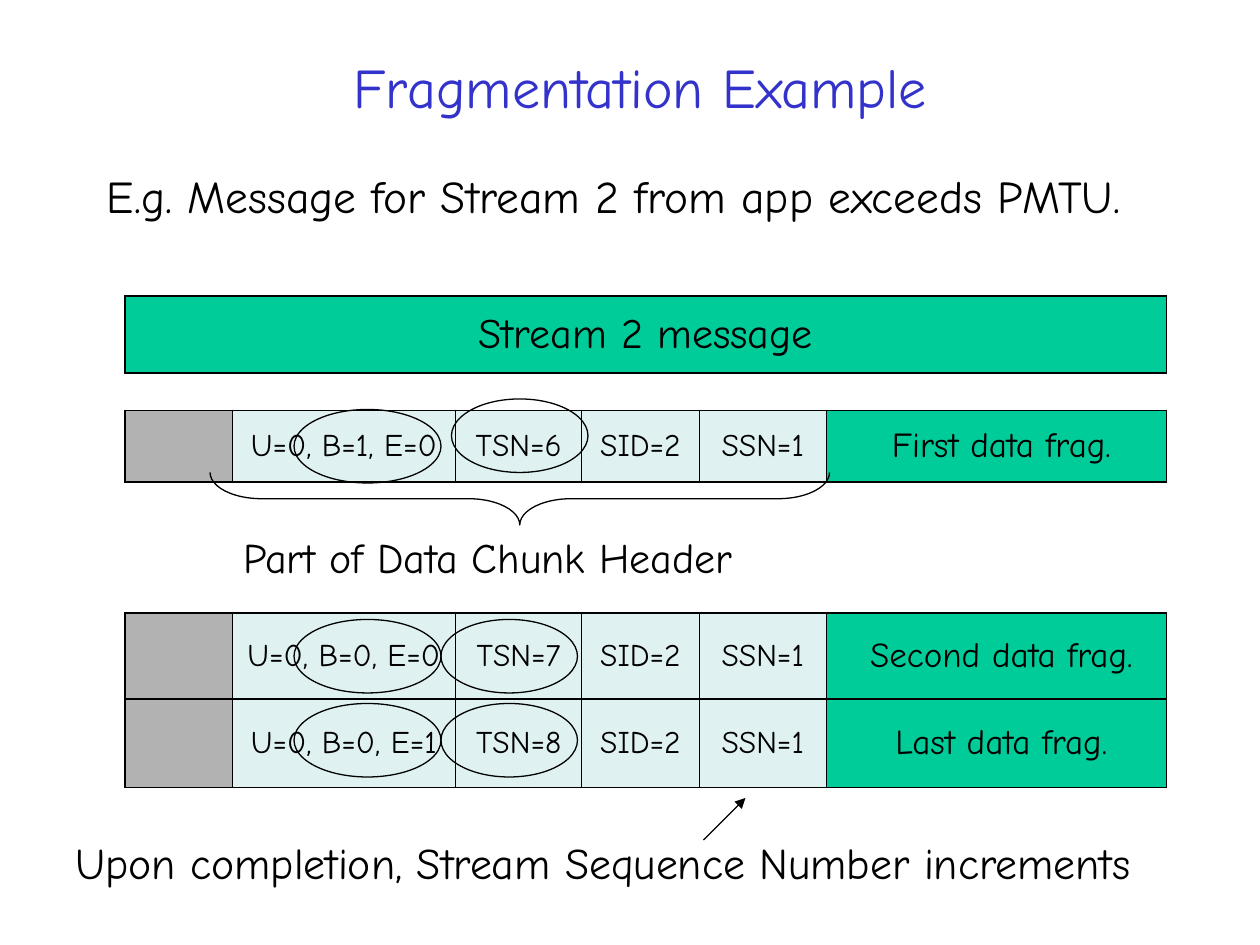
import dataclasses

import pptx
import pptx.dml.color
import pptx.enum.shapes
import pptx.enum.text
import pptx.oxml
import pptx.oxml.ns
import pptx.util

Align = pptx.enum.text.PP_ALIGN
Shape = pptx.enum.shapes.MSO_SHAPE
UNIT = pptx.util.Inches(1) / 12  # the grid has 120 columns and 90 rows


@dataclasses.dataclass
class Theme:
    font: str = "Comic Neue"
    ink: str = "000000"
    blue: str = "3333CC"
    green: str = "00CC99"
    pale: str = "E0F1F2"
    gray: str = "B2B2B2"
    title: int = 32
    lead: int = 26
    note: int = 25
    label: int = 24
    data: int = 20
    field: int = 18
    line: float = 0.75
    thick: float = 1.08
    thin: float = 0.45


def grid(*nums):
    return [round(n * UNIT) for n in nums]


def color(code):
    return pptx.dml.color.RGBColor.from_string(code)


def write(frame, text, font="Comic Neue", size=18, ink="000000", align=Align.LEFT):
    frame.word_wrap = True
    para = frame.paragraphs[0]
    para.alignment = align
    run = para.add_run()
    run.text = text
    run.font.name = font
    run.font.size = pptx.util.Pt(size)
    run.font.color.rgb = color(ink)


def border(cell, widths, ink):
    """Draw the left, right, top and bottom edges of a cell."""
    props = cell._tc.get_or_add_tcPr()
    for spot, (side, width) in enumerate(zip("LRTB", widths)):
        props.insert(spot, pptx.oxml.parse_xml(
            f'<a:ln{side} {pptx.oxml.ns.nsdecls("a")} w="{pptx.util.Pt(width)}">'
            f'<a:solidFill><a:srgbClr val="{ink}"/></a:solidFill></a:ln{side}>'))


class Page:
    def __init__(self, deck, theme):
        self.theme = theme
        self.slide = deck.slides.add_slide(deck.slide_layouts[5])
        self.shapes = self.slide.shapes

    def title(self, text, *box):
        head = self.shapes.title
        head.left, head.top, head.width, head.height = grid(*box)
        head.text_frame.vertical_anchor = pptx.enum.text.MSO_ANCHOR.MIDDLE
        write(head.text_frame, text, self.theme.font, self.theme.title,
              self.theme.blue, Align.CENTER)

    def text(self, text, size, *box):
        item = self.shapes.add_textbox(*grid(*box))
        write(item.text_frame, text, self.theme.font, size, self.theme.ink)

    def table(self, left, top, height, cols, cells):
        """Each cell is a tuple of text, size and fill."""
        look = self.theme
        spot = grid(left, top, sum(cols), height)
        table = self.shapes.add_table(1, len(cols), *spot).table
        table.first_row = table.horz_banding = False
        table.rows[0].height = spot[3]
        last = len(cols) - 1
        for num, (text, size, fill) in enumerate(cells):
            table.columns[num].width = grid(cols[num])[0]
            cell = table.cell(0, num)
            cell.vertical_anchor = pptx.enum.text.MSO_ANCHOR.MIDDLE
            cell.fill.solid()
            cell.fill.fore_color.rgb = color(fill)
            if text:
                write(cell.text_frame, text, look.font, size, look.ink, Align.CENTER)
            if size == look.data:
                cell.margin_left = pptx.util.Inches(0.18)
            border(cell, (look.thick if num == 0 else look.thin,
                          look.thick if num == last else look.thin,
                          look.thick, look.thick), look.ink)

    def outline(self, kind, *box):
        item = self.shapes.add_shape(kind, *grid(*box))
        item.shadow.inherit = False
        item.fill.background()
        self.stroke(item.line)
        return item

    def brace(self, *box):
        item = self.outline(Shape.RIGHT_BRACE, *box)
        item.rotation = 90
        item.adjustments[0] = 0.98

    def arrow(self, *ends):
        item = self.shapes.add_connector(
            pptx.enum.shapes.MSO_CONNECTOR.STRAIGHT, *grid(*ends))
        self.stroke(item.line)
        decl = pptx.oxml.ns.nsdecls("a")
        item.line._get_or_add_ln().append(
            pptx.oxml.parse_xml(f'<a:tailEnd {decl} type="triangle"/>'))
        item._element.spPr.append(pptx.oxml.parse_xml(f"<a:effectLst {decl}/>"))

    def stroke(self, line):
        line.color.rgb = color(self.theme.ink)
        line.width = pptx.util.Pt(self.theme.line)


def main():
    deck = pptx.Presentation()
    deck.slide_width, deck.slide_height = grid(120, 90)
    look = Theme()
    page = Page(deck, look)

    # Heading and lead
    page.title("Fragmentation Example", 7, 4, 108, 8.4)
    page.text("E.g. Message for Stream 2 from app exceeds PMTU.",
              look.lead, 9, 15.4, 109, 6.5)

    # Whole message, then its fragments
    left = 11.9
    cols = (10.2, 21.3, 12, 11.2, 12.1, 32.4)
    page.table(left, 28.2, 7.3, [sum(cols)],
               [("Stream 2 message", look.label, look.green)])
    frags = (
        (39.1, 6.8, "U=0, B=1, E=0", "TSN=6", "First data frag."),
        (58.4, 8.2, "U=0, B=0, E=0", "TSN=7", "Second data frag."),
        (66.6, 8.4, "U=0, B=0, E=1", "TSN=8", "Last data frag."),
    )
    for top, height, flags, tsn, name in frags:
        fields = [(text, look.field, look.pale)
                  for text in (flags, tsn, "SID=2", "SSN=1")]
        page.table(left, top, height, cols,
                   [("", look.field, look.gray), *fields,
                    (name, look.data, look.green)])

    # Header brace
    page.brace(47, 18, 5, 59)
    page.text("Part of Data Chunk Header", look.label, 22, 50, 53, 6)

    # Rings around the flags and the TSN of each fragment
    for flag, col, row in ((39, 43, 38), (59, 42, 59), (67, 42, 67)):
        page.outline(Shape.OVAL, 28, flag, 14, 7)
        page.outline(Shape.OVAL, col, row, 13, 7)

    # Closing note
    page.text("Upon completion, Stream Sequence Number increments",
              look.note, 6, 79, 112, 6.2)
    page.arrow(67, 80, 71, 76)

    deck.save("out.pptx")


if __name__ == "__main__":
    main()
